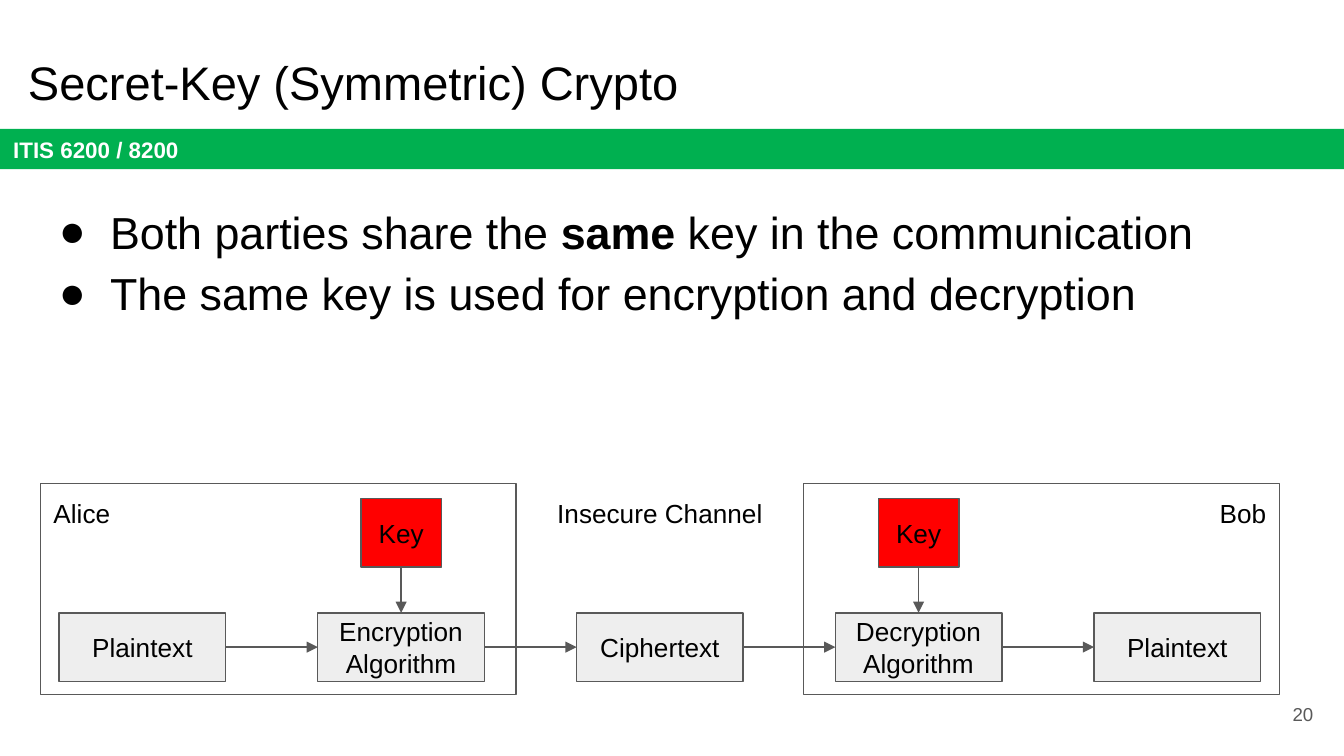
"""Build a slide on symmetric cryptography with a message flow diagram."""
import lxml.etree
import pptx
import pptx.dml.color
import pptx.enum.shapes
import pptx.enum.text
import pptx.oxml.ns
import pptx.util

Inches = pptx.util.Inches
RGBColor = pptx.dml.color.RGBColor
Align = pptx.enum.text.PP_ALIGN
Anchor = pptx.enum.text.MSO_ANCHOR
qn = pptx.oxml.ns.qn

BLACK = RGBColor(0x00, 0x00, 0x00)
WHITE = RGBColor(0xFF, 0xFF, 0xFF)
GREEN = RGBColor(0x00, 0xB0, 0x50)
RED = RGBColor(0xFF, 0x00, 0x00)
LIGHT_GRAY = RGBColor(0xEE, 0xEE, 0xEE)
DARK_GRAY = RGBColor(0x59, 0x59, 0x59)


class SlideBuilder:
    """Hold the style and the current slide."""

    font_name = "Arial"
    label_size = 14
    line_width = pptx.util.Pt(0.75)
    inset = Inches(0.1)

    def __init__(self, slide):
        self.slide = slide

    def prepare_frame(self, shape, anchor):
        """Set the wrapping, margins and anchor of a text frame."""
        frame = shape.text_frame
        frame.word_wrap = True
        frame.vertical_anchor = anchor
        frame.margin_left = frame.margin_right = self.inset
        frame.margin_top = frame.margin_bottom = self.inset
        return frame

    def style_font(self, paragraph, size, color=BLACK, bold=False):
        """Set the font of a whole paragraph."""
        font = paragraph.font
        font.name = self.font_name
        font.size = pptx.util.Pt(size)
        font.bold = bold
        font.color.rgb = color

    def text(self, text, left, top, width, height, size=label_size,
             color=BLACK, align=Align.LEFT, anchor=Anchor.TOP):
        """Add a text box with one paragraph."""
        shape = self.slide.shapes.add_textbox(
            Inches(left), Inches(top), Inches(width), Inches(height))
        paragraph = self.prepare_frame(shape, anchor).paragraphs[0]
        paragraph.text = text
        paragraph.alignment = align
        self.style_font(paragraph, size, color)

    def bullets(self, items, left, top, width, height, size):
        """Add a bulleted list; each item is a list of (text, bold) runs."""
        shape = self.slide.shapes.add_textbox(
            Inches(left), Inches(top), Inches(width), Inches(height))
        frame = self.prepare_frame(shape, Anchor.TOP)
        for index, runs in enumerate(items):
            paragraph = frame.add_paragraph() if index else frame.paragraphs[0]
            paragraph.line_spacing = 1.15
            properties = paragraph._p.get_or_add_pPr()
            properties.set("marL", str(Inches(0.5)))
            properties.set("indent", str(Inches(-0.38)))
            bullet_color = lxml.etree.SubElement(properties, qn("a:buClr"))
            lxml.etree.SubElement(bullet_color, qn("a:srgbClr")).set("val", str(BLACK))
            bullet_font = lxml.etree.SubElement(properties, qn("a:buFont"))
            bullet_font.set("typeface", self.font_name)
            bullet = lxml.etree.SubElement(properties, qn("a:buChar"))
            bullet.set("char", "●")
            self.style_font(paragraph, size)
            for text, bold in runs:
                run = paragraph.add_run()
                run.text = text
                if bold:
                    run.font.bold = True

    def box(self, left, top, width, height, text="", fill=None, outlined=True,
            size=label_size, color=BLACK, bold=False, align=Align.CENTER):
        """Add a rectangle, with a label if there is text."""
        shape = self.slide.shapes.add_shape(
            pptx.enum.shapes.MSO_SHAPE.RECTANGLE,
            Inches(left), Inches(top), Inches(width), Inches(height))
        shape.shadow.inherit = False
        if fill is None:
            shape.fill.background()
        else:
            shape.fill.solid()
            shape.fill.fore_color.rgb = fill
        if outlined:
            shape.line.color.rgb = DARK_GRAY
            shape.line.width = self.line_width
        else:
            shape.line.fill.background()
        if text:
            paragraph = self.prepare_frame(shape, Anchor.MIDDLE).paragraphs[0]
            paragraph.text = text
            paragraph.alignment = align
            self.style_font(paragraph, size, color, bold)

    def arrow(self, start_x, start_y, end_x, end_y):
        """Add a straight line with an arrowhead at its end."""
        connector = self.slide.shapes.add_connector(
            pptx.enum.shapes.MSO_CONNECTOR.STRAIGHT,
            Inches(start_x), Inches(start_y), Inches(end_x), Inches(end_y))
        connector.line.color.rgb = DARK_GRAY
        connector.line.width = self.line_width
        head = lxml.etree.SubElement(connector.line._get_or_add_ln(), qn("a:tailEnd"))
        head.set("type", "triangle")
        lxml.etree.SubElement(connector._element.spPr, qn("a:effectLst"))


def add_diagram(builder):
    """Draw the path of a message from Alice to Bob."""
    panel_top, panel_width, panel_height = 3.6, 3.54, 1.57
    alice_left, bob_left = 0.3, 5.98
    alice_right, bob_right = alice_left + panel_width, bob_left + panel_width
    for left in (alice_left, bob_left):
        builder.box(left, panel_top, panel_width, panel_height)

    first_left, last_left = 0.44, 8.14
    step_top, step_width, step_height = 4.56, 1.24, 0.51
    key_top, key_width = 3.71, 0.6
    middle = step_top + step_height / 2
    steps = ["Plaintext", "Encryption Algorithm", "Ciphertext",
             "Decryption Algorithm", "Plaintext"]
    pitch = (last_left - first_left) / (len(steps) - 1)
    for index, step in enumerate(steps):
        left = first_left + index * pitch
        builder.box(left, step_top, step_width, step_height, step, LIGHT_GRAY)
        if index:
            builder.arrow(left - pitch + step_width, middle, left, middle)
        if step.endswith("Algorithm"):
            center = left + step_width / 2
            builder.box(center - key_width / 2, key_top, key_width, step_height,
                        "Key", RED)
            builder.arrow(center, key_top + step_height, center, step_top)

    label_width, label_height = 0.84, 0.44
    builder.text("Alice", alice_left, panel_top, label_width, label_height)
    builder.text("Bob", bob_right - label_width, panel_top, label_width,
                 label_height, align=Align.RIGHT)
    builder.text("Insecure Channel", alice_right, panel_top,
                 bob_left - alice_right, label_height, align=Align.CENTER)


def main():
    """Build and save the presentation."""
    presentation = pptx.Presentation()
    presentation.slide_width = Inches(10)
    presentation.slide_height = Inches(10 * 9 / 16)
    builder = SlideBuilder(presentation.slides.add_slide(presentation.slide_layouts[6]))

    builder.box(0, 0.96, 10, 0.3, "ITIS 6200 / 8200", GREEN, outlined=False,
                size=12, color=WHITE, bold=True, align=Align.LEFT)
    builder.text("Secret-Key (Symmetric) Crypto", 0.11, 0.3, 9.32, 0.63, size=25.2)
    builder.bullets([
        [("Both parties share the ", False), ("same", True),
         (" key in the communication", False)],
        [("The same key is used for encryption and decryption", False)],
    ], 0.22, 1.36, 9.32, 4.12, size=24)
    builder.text("20", 9.27, 5.1, 0.6, 0.43, size=10, color=DARK_GRAY,
                 align=Align.RIGHT, anchor=Anchor.MIDDLE)
    add_diagram(builder)
    presentation.save("out.pptx")


if __name__ == "__main__":
    main()
